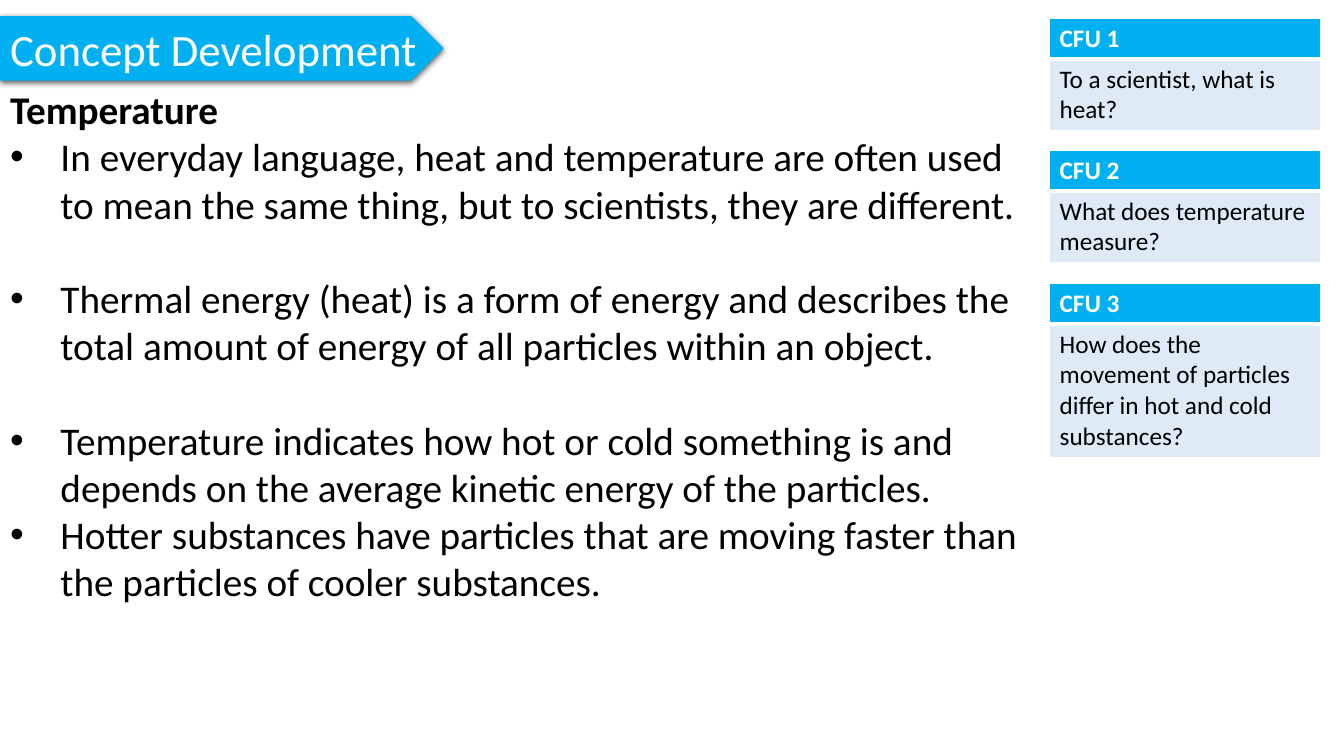
from dataclasses import dataclass

from lxml.etree import SubElement
from pptx import Presentation
from pptx.dml.color import RGBColor
from pptx.enum.shapes import MSO_SHAPE
from pptx.enum.text import MSO_ANCHOR, MSO_AUTO_SIZE, PP_ALIGN
from pptx.oxml.ns import qn
from pptx.util import Emu, Pt

PX = 9144  # EMU per px, 100 px to the inch


@dataclass(frozen=True)
class Theme:
    font: str = "Calibri"
    accent: str = "00B0F0"
    pale: str = "DEEBF7"
    white: str = "FFFFFF"
    black: str = "000000"
    title: int = 32
    body: int = 28
    card: int = 18


@dataclass(frozen=True)
class Box:
    x: int
    y: int
    w: int
    h: int

    def emu(self) -> list[Emu]:
        return [Emu(v * PX) for v in (self.x, self.y, self.w, self.h)]


@dataclass(frozen=True)
class Point:
    text: str
    bullet: bool = True
    gap_after: int = 0


@dataclass(frozen=True)
class Question:
    label: str
    text: str
    top: int
    body_height: int


THEME = Theme()
TITLE_BOX = Box(0, 16, 440, 64)
BODY_BOX = Box(0, 80, 1041, 623)
CARD_LEFT, CARD_WIDTH, HEADER_HEIGHT = 1041, 269, 39
HANGING = 50 * PX

POINTS = [
    Point("Temperature", bullet=False),
    Point("In everyday language, heat and temperature are often used to mean "
          "the same thing, but to scientists, they are different.", gap_after=34),
    Point("Thermal energy (heat) is a form of energy and describes the total "
          "amount of energy of all particles within an object.", gap_after=34),
    Point("Temperature indicates how hot or cold something is and depends on "
          "the average kinetic energy of the particles."),
    Point("Hotter substances have particles that are moving faster than the "
          "particles of cooler substances."),
]
QUESTIONS = [
    Question("CFU 1", "To a scientist, what is heat?", 18, 71),
    Question("CFU 2", "What does temperature measure?", 149, 71),
    Question("CFU 3", "How does the movement of particles differ in hot and "
             "cold substances?", 281, 131),
]


def format_runs(p, size: int, color: str, bold: bool = False) -> None:
    for r in p.runs:
        r.font.name = THEME.font
        r.font.size = Pt(size)
        r.font.bold = bold
        r.font.color.rgb = RGBColor.from_string(color)


def place(sp, box: Box, anchor: MSO_ANCHOR) -> None:
    sp.left, sp.top, sp.width, sp.height = box.emu()
    tf = sp.text_frame
    tf.word_wrap = True
    tf.auto_size = MSO_AUTO_SIZE.NONE
    tf.vertical_anchor = anchor


def add_shadow(sp) -> None:
    effects = sp._element.spPr.find(qn("a:effectLst"))
    shadow = SubElement(effects, qn("a:outerShdw"), blurRad=str(Pt(4.5)),
                        dist=str(Pt(1.5)), dir="5400000", rotWithShape="0")
    color = SubElement(shadow, qn("a:srgbClr"), val=THEME.black)
    SubElement(color, qn("a:alpha"), val="63000")


def add_title(slide, text: str) -> None:
    plate = slide.shapes.add_shape(MSO_SHAPE.PENTAGON, *TITLE_BOX.emu())
    plate.fill.solid()
    plate.fill.fore_color.rgb = RGBColor.from_string(THEME.accent)
    plate.line.fill.background()
    plate.shadow.inherit = False
    add_shadow(plate)
    # Keep the plate behind the title text
    slide.shapes.title._element.addprevious(plate._element)

    title = slide.shapes.title
    place(title, TITLE_BOX, MSO_ANCHOR.MIDDLE)
    title.text_frame.text = text
    p = title.text_frame.paragraphs[0]
    p.alignment = PP_ALIGN.LEFT
    format_runs(p, THEME.title, THEME.white)


def add_points(slide, points: list[Point]) -> None:
    body = slide.placeholders[1]
    place(body, BODY_BOX, MSO_ANCHOR.TOP)
    tf = body.text_frame
    for i, point in enumerate(points):
        p = tf.add_paragraph() if i else tf.paragraphs[0]
        p.text = point.text
        p.line_spacing = 1.0
        p.space_before = Pt(0)
        p.space_after = Pt(point.gap_after)
        pPr = p._p.get_or_add_pPr()
        indent = HANGING if point.bullet else 0
        pPr.set("marL", str(indent))
        pPr.set("indent", str(-indent))
        if point.bullet:
            SubElement(pPr, qn("a:buFont"), typeface="Arial")
            SubElement(pPr, qn("a:buChar"), char="•")
        else:
            SubElement(pPr, qn("a:buNone"))
        format_runs(p, THEME.body, THEME.black, bold=not point.bullet)


def style_cell(cell, text: str, fill: str, color: str, bold: bool, bottom: int) -> None:
    tcPr = cell._tc.get_or_add_tcPr()
    for side, width in (("L", 1), ("R", 1), ("T", 1), ("B", bottom)):
        ln = SubElement(tcPr, qn(f"a:ln{side}"), w=str(Pt(width)))
        SubElement(SubElement(ln, qn("a:solidFill")), qn("a:srgbClr"), val=THEME.white)
    cell.fill.solid()
    cell.fill.fore_color.rgb = RGBColor.from_string(fill)
    cell.text_frame.text = text
    format_runs(cell.text_frame.paragraphs[0], THEME.card, color, bold)


def add_question(slide, q: Question) -> None:
    box = Box(CARD_LEFT, q.top, CARD_WIDTH, HEADER_HEIGHT + q.body_height)
    table = slide.shapes.add_table(2, 1, *box.emu()).table
    table.rows[0].height = Emu(HEADER_HEIGHT * PX)
    table.rows[1].height = Emu(q.body_height * PX)
    style_cell(table.cell(0, 0), q.label, THEME.accent, THEME.white, True, 3)
    style_cell(table.cell(1, 0), q.text, THEME.pale, THEME.black, False, 1)


def main() -> None:
    prs = Presentation()
    prs.slide_width, prs.slide_height = Emu(1333 * PX), Emu(750 * PX)
    slide = prs.slides.add_slide(prs.slide_layouts[1])
    add_title(slide, "Concept Development")
    add_points(slide, POINTS)
    for question in QUESTIONS:
        add_question(slide, question)
    prs.save("out.pptx")


if __name__ == "__main__":
    main()
